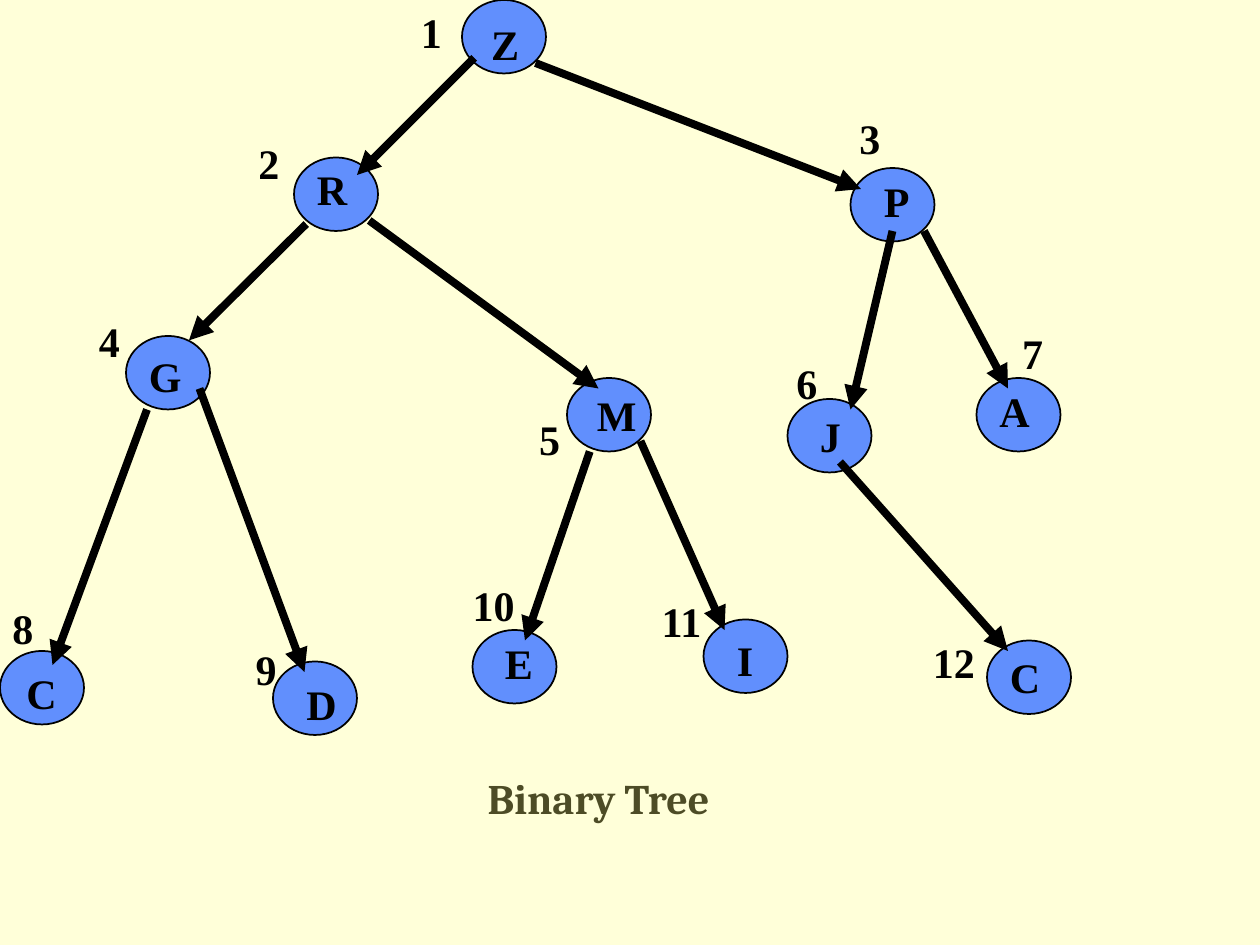
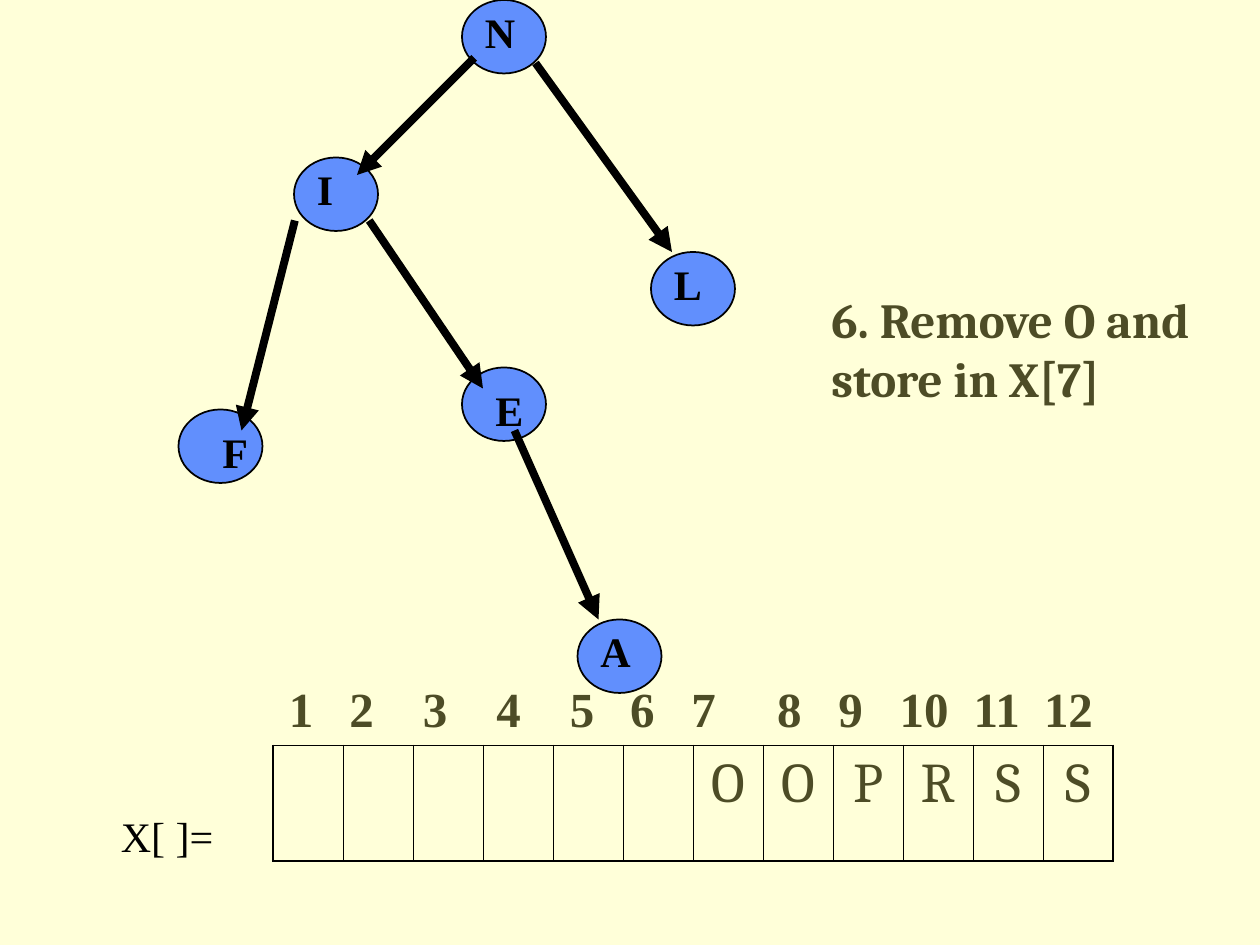
"""Build two slides on binary trees and heap sort."""
from collections import namedtuple
from dataclasses import dataclass

from lxml import etree
from pptx import Presentation
from pptx.dml.color import RGBColor
from pptx.enum.shapes import MSO_CONNECTOR, MSO_SHAPE
from pptx.enum.text import PP_ALIGN
from pptx.oxml.ns import qn
from pptx.util import Pt

OVAL = MSO_SHAPE.OVAL
STRAIGHT = MSO_CONNECTOR.STRAIGHT
CENTER = PP_ALIGN.CENTER


@dataclass(frozen=True)
class Theme:
    """Colours, fonts, type sizes and line widths of the deck."""
    paper: RGBColor = RGBColor(0xFF, 0xFF, 0xD9)
    node: RGBColor = RGBColor(0x61, 0x8F, 0xFD)
    ink: RGBColor = RGBColor(0, 0, 0)
    olive: RGBColor = RGBColor(0x4D, 0x4C, 0x26)
    label_font: str = "Times New Roman"
    text_font: str = "Cambria"
    label_size: int = 24
    step_size: int = 28
    cell_size: int = 32
    node_line: float = 1
    arrow_line: float = 4.5
    outer_border: float = 1.08
    inner_border: float = 0.45


THEME = Theme()
NODE_WIDTH, NODE_HEIGHT = 48, 42
LABEL_WIDTH, LABEL_HEIGHT = 30, 36

Node = namedtuple("Node", "left top")
Label = namedtuple("Label", "text left top width", defaults=[LABEL_WIDTH])

ROOT, ROOT_LEFT = Node(264, 0), Node(168, 90)
ROOT_TO_LEFT = (271, 33, 204, 100)

FULL_TREE_NODES = [
    ROOT, ROOT_LEFT, Node(486, 96), Node(72, 192), Node(324, 216),
    Node(450, 228), Node(558, 216), Node(0, 372), Node(156, 378),
    Node(270, 360), Node(402, 354), Node(564, 366),
]
FULL_TREE_ARROWS = [
    ROOT_TO_LEFT, (306, 36, 492, 108),
    (175, 128, 108, 194.5), (211, 126, 342, 222),
    (510, 132, 486, 234), (528, 132, 576, 222),
    (84, 234, 30, 380), (114, 222, 174, 384),
    (337, 258, 300, 366), (366, 252, 414, 360),
    (480, 264, 576, 372),
]
FULL_TREE_LETTERS = [
    Label("Z", 273.5, 7, 18), Label("R", 174, 90), Label("P", 498, 97),
    Label("G", 78, 197), Label("M", 334, 219), Label("J", 461.5, 231),
    Label("A", 564, 216.5), Label("C", 8, 378), Label("D", 168, 384),
    Label("E", 281.5, 361), Label("I", 414, 359), Label("C", 570, 369, 48),
]
FULL_TREE_INDEXES = [
    Label("1", 233.5, 0), Label("2", 140.5, 75), Label("3", 484, 61),
    Label("4", 49.5, 176.5), Label("5", 301, 233), Label("6", 448, 201),
    Label("7", 577, 183.5), Label("8", 0, 341), Label("9", 139, 364),
    Label("10", 263, 327.5, 42), Label("11", 371, 337, 42),
    Label("12", 526, 360, 48),
]

HEAP_NODES = [
    ROOT, ROOT_LEFT, Node(372, 144), Node(102, 234), Node(264, 210),
    Node(330, 354),
]
HEAP_ARROWS = [
    ROOT_TO_LEFT, (306, 36, 384, 144), (168.5, 126, 138, 246),
    (211, 126, 276, 222), (294, 246, 342, 354),
]
HEAP_LETTERS = [
    Label("N", 270, 0, 36), Label("I", 174, 90), Label("L", 378, 144),
    Label("F", 120, 240), Label("E", 276, 216), Label("A", 336, 354),
]
INDEX_STOPS = [21, 55.5, 97.5, 139.5, 181.5, 216, 251, 300, 335, 377, 418.5, 459.5]
ARRAY_VALUES = [""] * 6 + list("OOPRSS")


def add_page(deck):
    """Add a blank page on the paper colour."""
    page = deck.slides.add_slide(deck.slide_layouts[6])
    page.background.fill.solid()
    page.background.fill.fore_color.rgb = THEME.paper
    return page


def style_paragraph(para, font, size, color, bold):
    """Set the type of a whole paragraph."""
    para.font.name = font
    para.font.size = Pt(size)
    para.font.color.rgb = color
    para.font.bold = bold


def add_text(page, text, left, top, width, height=LABEL_HEIGHT, font=THEME.label_font,
             size=THEME.label_size, color=THEME.ink, bold=True, align=None, stops=()):
    """Add a wrapped one-paragraph text box, with centred tab stops if given."""
    box = page.shapes.add_textbox(Pt(left), Pt(top), Pt(width), Pt(height))
    box.text_frame.word_wrap = True
    para = box.text_frame.paragraphs[0]
    para.text = text
    if stops:
        tabs = etree.SubElement(para._p.get_or_add_pPr(), qn("a:tabLst"))
        for stop in stops:
            etree.SubElement(tabs, qn("a:tab"), pos=str(Pt(stop)), algn="ctr")
    para.alignment = align
    style_paragraph(para, font, size, color, bold)


def add_node(page, node):
    """Add one tree node."""
    oval = page.shapes.add_shape(OVAL, Pt(node.left), Pt(node.top), Pt(NODE_WIDTH), Pt(NODE_HEIGHT))
    oval.shadow.inherit = False
    oval.fill.solid()
    oval.fill.fore_color.rgb = THEME.node
    oval.line.color.rgb = THEME.ink
    oval.line.width = Pt(THEME.node_line)


def add_arrow(page, ends):
    """Add an arrow from parent to child."""
    arrow = page.shapes.add_connector(STRAIGHT, *map(Pt, ends))
    arrow.line.color.rgb = THEME.ink
    arrow.line.width = Pt(THEME.arrow_line)
    etree.SubElement(arrow.line._get_or_add_ln(), qn("a:tailEnd"), type="triangle")
    etree.SubElement(arrow._element.spPr, qn("a:effectLst"))


def add_tree(page, nodes, arrows, labels):
    """Add nodes, then arrows, then the labels on top."""
    for node in nodes:
        add_node(page, node)
    for ends in arrows:
        add_arrow(page, ends)
    for label in labels:
        add_text(page, *label)


def set_border(cell, side, width):
    """Draw one side of a cell: L, R, T or B."""
    line = etree.SubElement(cell._tc.get_or_add_tcPr(), qn(f"a:ln{side}"), w=str(Pt(width)))
    fill = etree.SubElement(line, qn("a:solidFill"))
    etree.SubElement(fill, qn("a:srgbClr"), val=str(THEME.ink))


def add_array(page, values, left, top, width, height):
    """Add a one-row table of array values."""
    frame = page.shapes.add_table(1, len(values), Pt(left), Pt(top), Pt(width), Pt(height))
    table = frame.table
    table.first_row = table.horz_banding = False
    last = len(values) - 1
    for position, value in enumerate(values):
        cell = table.cell(0, position)
        set_border(cell, "L", THEME.inner_border if position else THEME.outer_border)
        set_border(cell, "R", THEME.inner_border if position < last else THEME.outer_border)
        for side in "TB":
            set_border(cell, side, THEME.outer_border)
        cell.fill.background()
        para = cell.text_frame.paragraphs[0]
        para.text = value
        para.alignment = CENTER
        style_paragraph(para, THEME.text_font, THEME.cell_size, THEME.olive, False)


def build_full_tree(deck):
    """Build the page with the numbered binary tree."""
    page = add_page(deck)
    add_tree(page, FULL_TREE_NODES, FULL_TREE_ARROWS, FULL_TREE_LETTERS + FULL_TREE_INDEXES)
    add_text(page, "Binary Tree", 156, 438, 372, font=THEME.text_font,
             color=THEME.olive, align=CENTER)


def build_removal_step(deck):
    """Build the page with the heap and the sorted array."""
    page = add_page(deck)
    add_tree(page, HEAP_NODES, HEAP_ARROWS, HEAP_LETTERS)
    add_text(page, "6. Remove O and store in X[7]", 468, 162, 240, 108,
             font=THEME.text_font, size=THEME.step_size, color=THEME.olive)
    indexes = "".join(f"\t{number}" for number in range(1, len(ARRAY_VALUES) + 1))
    add_text(page, indexes, 144, 384, 498, 41, size=THEME.step_size,
             color=THEME.olive, stops=INDEX_STOPS)
    add_array(page, ARRAY_VALUES, 156, 426, 480, 66)
    add_text(page, "X[ ]=", 62, 459.5, 114, bold=False)


def main():
    """Build and save the deck."""
    deck = Presentation()
    deck.slide_width, deck.slide_height = Pt(720), Pt(540)
    build_full_tree(deck)
    build_removal_step(deck)
    deck.save("out.pptx")


if __name__ == "__main__":
    main()
